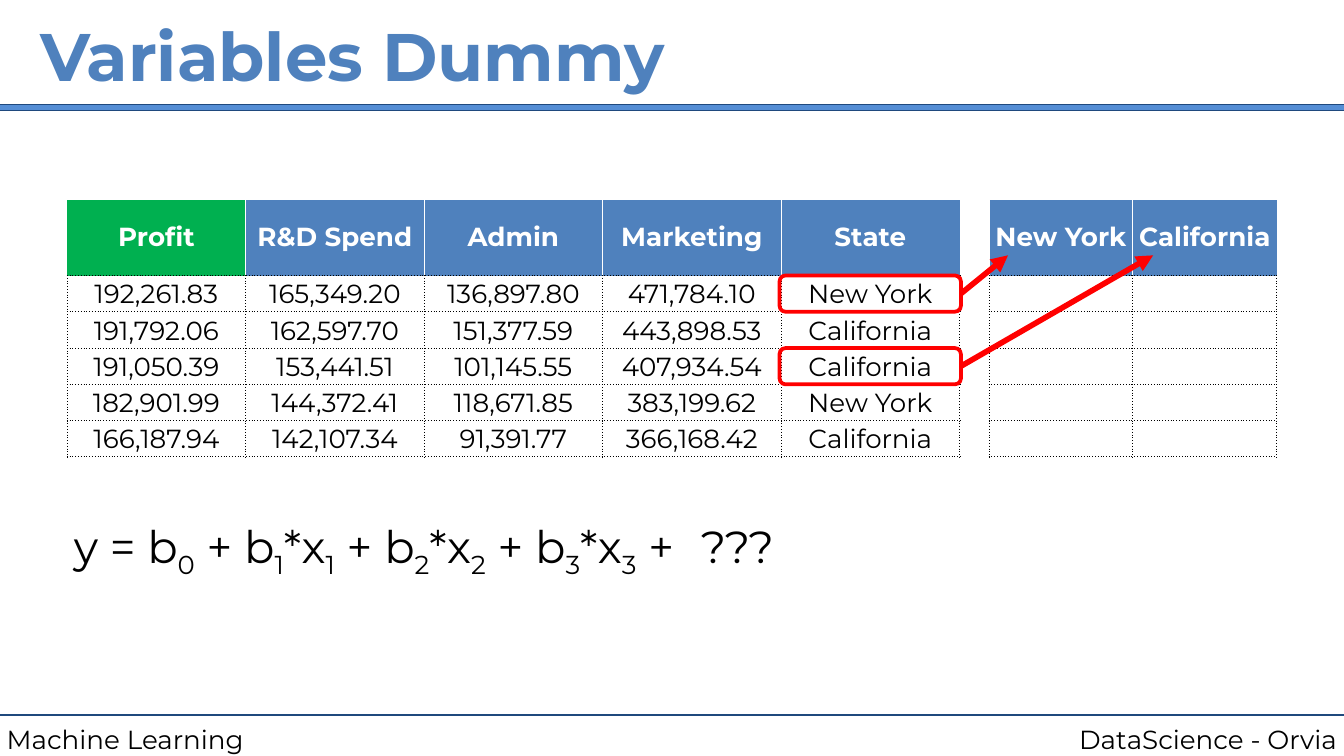
from dataclasses import dataclass
from lxml.etree import SubElement
from pptx import Presentation
from pptx.dml.color import RGBColor
from pptx.enum.shapes import MSO_CONNECTOR as Conn, MSO_SHAPE as Shp
from pptx.enum.text import MSO_ANCHOR as Anc, MSO_AUTO_SIZE as Auto, PP_ALIGN as Al
from pptx.oxml.ns import qn
from pptx.util import Inches, Pt

FONT = "Montserrat"
BLUE, NAVY, GREEN, RED = "4F81BD", "1F497D", "00B050", "FF0000"
COLS, ROWS = 100, 56.25
TABLE_X, TABLE_Y = 5, 14.85
COL_WIDTHS = [13.28] * 5 + [2.2] + [10.7] * 2
HEAD_H, ROW_H = 5.65, 2.7
STATE, GAP = 4, 5
HEADS = ["Profit", "R&D Spend", "Admin", "Marketing", "State", "", "New York", "California"]
DATA = [
    ["192,261.83", "165,349.20", "136,897.80", "471,784.10", "New York"],
    ["191,792.06", "162,597.70", "151,377.59", "443,898.53", "California"],
    ["191,050.39", "153,441.51", "101,145.55", "407,934.54", "California"],
    ["182,901.99", "144,372.41", "118,671.85", "383,199.62", "New York"],
    ["166,187.94", "142,107.34", "91,391.77", "366,168.42", "California"],
]
EQUATION = [("y = b", "0"), (" + b", "1"), ("*x", "1"), (" + b", "2"), ("*x", "2"),
            (" + b", "3"), ("*x", "3"), (" +", "")]


@dataclass
class Box:
    x: float
    y: float
    w: float
    h: float

    def emu(self) -> list:
        return [grid(v) for v in (self.x, self.y, self.w, self.h)]


@dataclass
class Highlight:
    row: int
    target: int
    tip: float


HIGHLIGHTS = [Highlight(0, 6, 1.4), Highlight(2, 7, 1.5)]


def grid(n: float) -> int:
    return Inches(n / 10)


def rgb(code: str) -> RGBColor:
    return RGBColor.from_string(code)


def apply(obj, formats: dict) -> None:
    for name, value in formats.items():
        setattr(obj, name, value)


def add_run(p, text: str, size: float, color: str = "000000", bold: bool = False):
    r = p.add_run()
    r.text = text
    apply(r.font, {"name": FONT, "size": Pt(size), "bold": bold})
    r.font.color.rgb = rgb(color)
    return r


def set_frame(tf, anchor=Anc.TOP, auto=Auto.NONE) -> None:
    apply(tf, {"word_wrap": True, "auto_size": auto, "vertical_anchor": anchor})
    apply(tf, {f"margin_{side}": grid(0.5) for side in ("left", "right", "top", "bottom")})


def add_text(s, box: Box, align=Al.LEFT):
    tf = s.shapes.add_textbox(*box.emu()).text_frame
    set_frame(tf, auto=Auto.SHAPE_TO_FIT_TEXT)
    p = tf.paragraphs[0]
    p.alignment = align
    return p


def add_box(s, kind, box: Box, line: str, width: float, fill: str = ""):
    sp = s.shapes.add_shape(kind, *box.emu())
    sp.shadow.inherit = False
    if fill:
        sp.fill.solid()
        sp.fill.fore_color.rgb = rgb(fill)
    else:
        sp.fill.background()
    sp.line.color.rgb = rgb(line)
    sp.line.width = Pt(width)
    return sp


def add_line(s, x1: float, y1: float, x2: float, y2: float, color: str, width: float,
             arrow: bool = False) -> None:
    c = s.shapes.add_connector(Conn.STRAIGHT, *map(grid, (x1, y1, x2, y2)))
    c.line.color.rgb = rgb(color)
    c.line.width = Pt(width)
    if arrow:
        SubElement(c.line._get_or_add_ln(), qn("a:tailEnd"), type="triangle")
    SubElement(c._element.spPr, qn("a:effectLst"))


def set_borders(cell, sides: dict) -> None:
    tcPr = cell._tc.get_or_add_tcPr()
    for side in "LRTB":
        ln = SubElement(tcPr, qn(f"a:ln{side}"), w=str(Pt(0.5)))
        if side not in sides:
            SubElement(ln, qn("a:noFill"))
            continue
        color, dash = sides[side]
        SubElement(SubElement(ln, qn("a:solidFill")), qn("a:srgbClr"), val=color)
        SubElement(ln, qn("a:prstDash"), val=dash)


def border_sides(row: int, col: int) -> dict:
    dot, white = ("000000", "sysDot"), ("FFFFFF", "solid")
    if row:
        return dict.fromkeys("LR" if col == GAP else "LRTB", dot)
    sides = {} if col == GAP else {"B": dot}
    if col not in (0, GAP):
        sides["L"] = white
    if col not in (STATE, len(HEADS) - 1):
        sides["R"] = white
    return sides


def fill_cell(cell, text: str, row: int, col: int) -> None:
    apply(cell, {f"margin_{side}": grid(0.1) for side in ("left", "right", "top", "bottom")})
    cell.vertical_anchor = Anc.BOTTOM if row else Anc.MIDDLE
    set_borders(cell, border_sides(row, col))
    if row or col == GAP:
        cell.fill.background()
    else:
        cell.fill.solid()
        cell.fill.fore_color.rgb = rgb(BLUE if col else GREEN)
    p = cell.text_frame.paragraphs[0]
    p.alignment = Al.CENTER
    if text:
        add_run(p, text, 14, "000000" if row else "FFFFFF", not row)
    else:
        SubElement(p._p, qn("a:endParaRPr"), sz="1400")


def add_data_table(s) -> None:
    rows = [HEADS] + [r + [""] * (len(HEADS) - len(r)) for r in DATA]
    box = Box(TABLE_X, TABLE_Y, sum(COL_WIDTHS), HEAD_H + ROW_H * len(DATA))
    table = s.shapes.add_table(len(rows), len(HEADS), *box.emu()).table
    apply(table, {"first_row": False, "horz_banding": False})
    table._tbl.tblPr.find(qn("a:tableStyleId")).text = "{2D5ABB26-0587-4C30-8999-92F81FD0307C}"
    for column, width in zip(table.columns, COL_WIDTHS):
        column.width = grid(width)
    for i, texts in enumerate(rows):
        table.rows[i].height = grid(ROW_H if i else HEAD_H)
        for j, text in enumerate(texts):
            fill_cell(table.cell(i, j), text, i, j)


def add_equation(s) -> None:
    p = add_text(s, Box(5, 38.1, 86.7, 5.7))
    for base, sub in EQUATION:
        add_run(p, base, 24)
        if sub:
            add_run(p, sub, 24).font._element.set("baseline", "-25000")
    add_run(p, " ", 24).font._element.set("spc", "800")
    add_run(p, "???", 24)


def add_highlight(s, h: Highlight) -> None:
    top = TABLE_Y + HEAD_H + ROW_H * h.row
    box = Box(58, top, 13.5, ROW_H)
    tip_x = TABLE_X + sum(COL_WIDTHS[:h.target]) + h.tip
    add_line(s, box.x + box.w, top + ROW_H / 2, tip_x, 19, RED, 3, arrow=True)
    add_box(s, Shp.ROUNDED_RECTANGLE, box, RED, 2)


def main() -> None:
    prs = Presentation()
    prs.slide_width, prs.slide_height = grid(COLS), grid(ROWS)
    s = prs.slides.add_slide(prs.slide_layouts[5])

    title = s.shapes.title
    apply(title, dict(zip(("left", "top", "width", "height"), Box(2.5, 0, 95, 8.1).emu())))
    set_frame(title.text_frame, Anc.MIDDLE)
    p = title.text_frame.paragraphs[0]
    p.alignment = Al.LEFT
    add_run(p, "Variables Dummy", 36, BLUE, True)

    add_line(s, 0, 53.2, COLS, 53.2, NAVY, 1.5)
    add_run(add_text(s, Box(70.8, 53.35, 29.2, 3.4), Al.RIGHT), "DataScience - Orvia", 14)
    add_run(add_text(s, Box(0, 53.35, 32.5, 3.4)), "Machine Learning", 14)
    add_box(s, Shp.RECTANGLE, Box(-0.4, 7.78, 100.8, 0.45), NAVY, 0.75, "558ED5")

    add_data_table(s)
    add_equation(s)
    for h in HIGHLIGHTS:
        add_highlight(s, h)
    prs.save("out.pptx")


if __name__ == "__main__":
    main()
